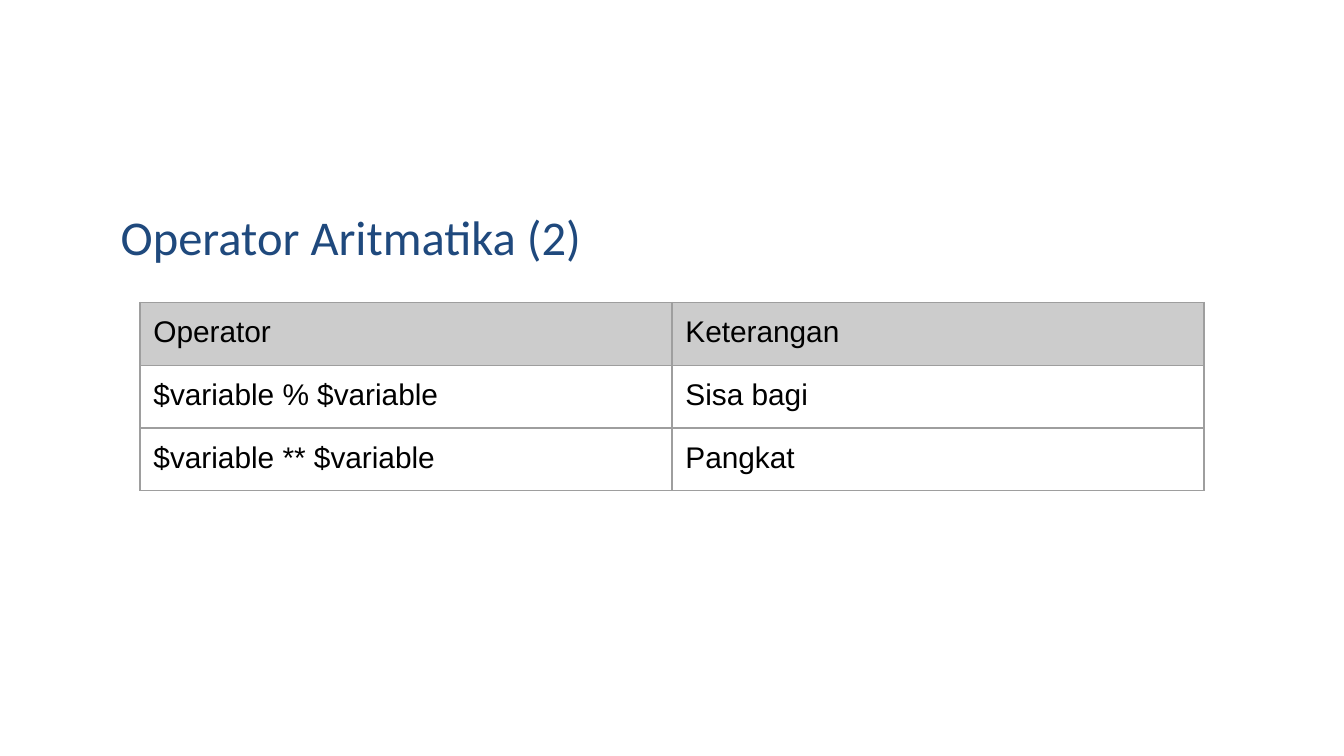
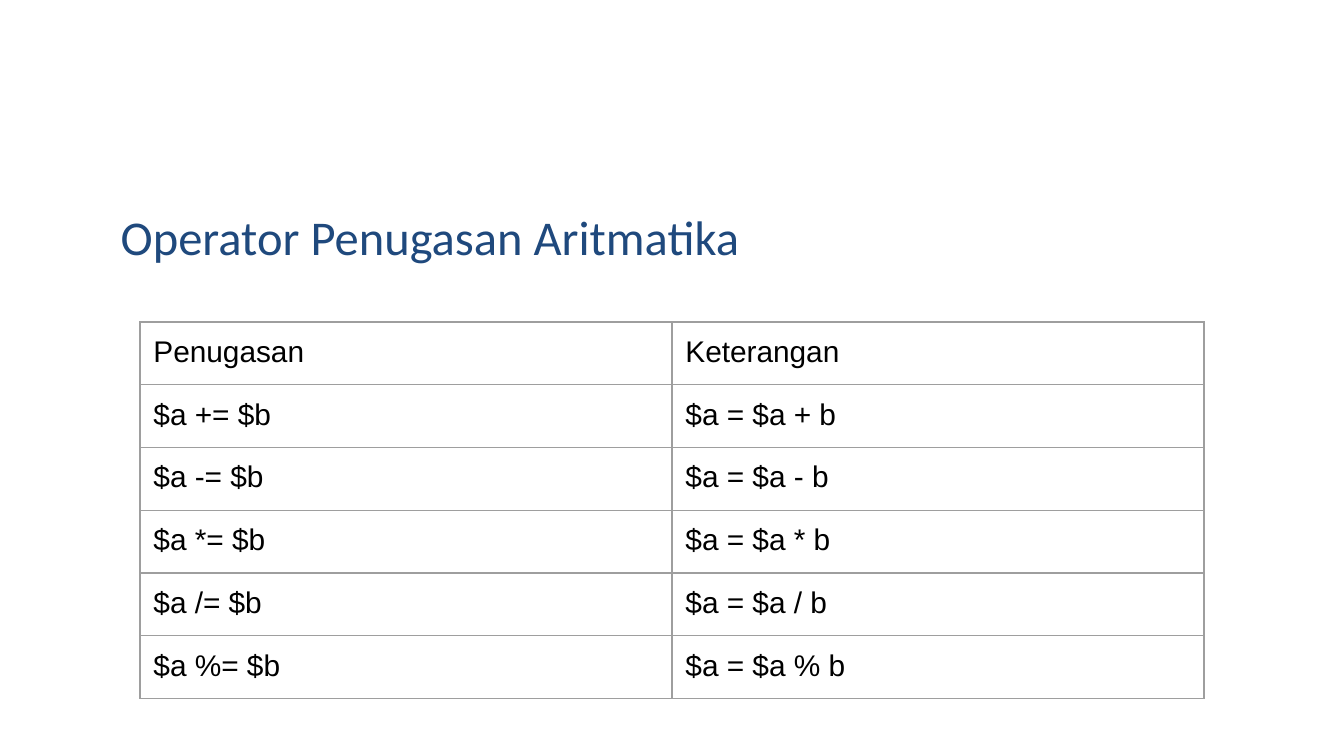
import pptx
import pptx.dml.color
import pptx.enum.text
import pptx.oxml
import pptx.oxml.ns
import pptx.util

Pt = pptx.util.Pt
RGBColor = pptx.dml.color.RGBColor

NAVY = RGBColor(0x1F, 0x49, 0x7D)
BLACK = RGBColor(0x00, 0x00, 0x00)
GREY = RGBColor(0xCC, 0xCC, 0xCC)
BORDER = RGBColor(0x9E, 0x9E, 0x9E)

INSET = Pt(7.2)
TITLE_BOX = (57.6, 103.7, 605.5, 42.5)
TABLE_LEFT, TABLE_WIDTH, ROW_HEIGHT = 75, 570, 30

ARITHMETIC = [
    ("Operator", "Keterangan"),
    ("$variable % $variable", "Sisa bagi"),
    ("$variable ** $variable", "Pangkat"),
]
ASSIGNMENT = [("Penugasan", "Keterangan")] + [
    (f"$a {op}= $b", f"$a = $a {op} b") for op in "+-*/%"
]


def set_insets(box):
    box.margin_left = box.margin_right = INSET
    box.margin_top = box.margin_bottom = INSET


def style_text(p, font, size, color):
    p.font.name = font
    p.font.size = Pt(size)
    p.font.color.rgb = color


def add_title(slide, text, box):
    tf = slide.shapes.add_textbox(*map(Pt, box)).text_frame
    tf.word_wrap = True
    tf.vertical_anchor = pptx.enum.text.MSO_ANCHOR.TOP
    set_insets(tf)
    p = tf.paragraphs[0]
    p.text = text
    style_text(p, "Calibri", 26, NAVY)


def add_borders(cell):
    tc_pr = cell._tc.get_or_add_tcPr()
    for side in ("lnL", "lnR", "lnT", "lnB"):
        tc_pr.append(pptx.oxml.parse_xml(
            f'<a:{side} {pptx.oxml.ns.nsdecls("a")} w="{Pt(0.75)}">'
            f'<a:solidFill><a:srgbClr val="{BORDER}"/></a:solidFill></a:{side}>'))


def add_operator_table(slide, rows, left, top, width, header_fill=None):
    table = slide.shapes.add_table(
        len(rows), len(rows[0]), Pt(left), Pt(top), Pt(width),
        Pt(ROW_HEIGHT * len(rows))).table
    table.first_row = table.horz_banding = False
    for i, row in enumerate(rows):
        for j, text in enumerate(row):
            cell = table.cell(i, j)
            cell.text = text
            set_insets(cell)
            style_text(cell.text_frame.paragraphs[0], "Arial", 16, BLACK)
            add_borders(cell)
            if i == 0 and header_fill is not None:
                cell.fill.solid()
                cell.fill.fore_color.rgb = header_fill
            else:
                cell.fill.background()


def add_operator_slide(prs, title, rows, table_top, header_fill=None):
    slide = prs.slides.add_slide(prs.slide_layouts[6])
    add_title(slide, title, TITLE_BOX)
    add_operator_table(slide, rows, TABLE_LEFT, table_top, TABLE_WIDTH, header_fill)


def main():
    prs = pptx.Presentation()
    prs.slide_width, prs.slide_height = Pt(720), Pt(405)
    add_operator_slide(prs, "Operator Aritmatika (2)", ARITHMETIC, 162, GREY)
    add_operator_slide(prs, "Operator Penugasan Aritmatika", ASSIGNMENT, 172.5)
    prs.save("out.pptx")


if __name__ == "__main__":
    main()
